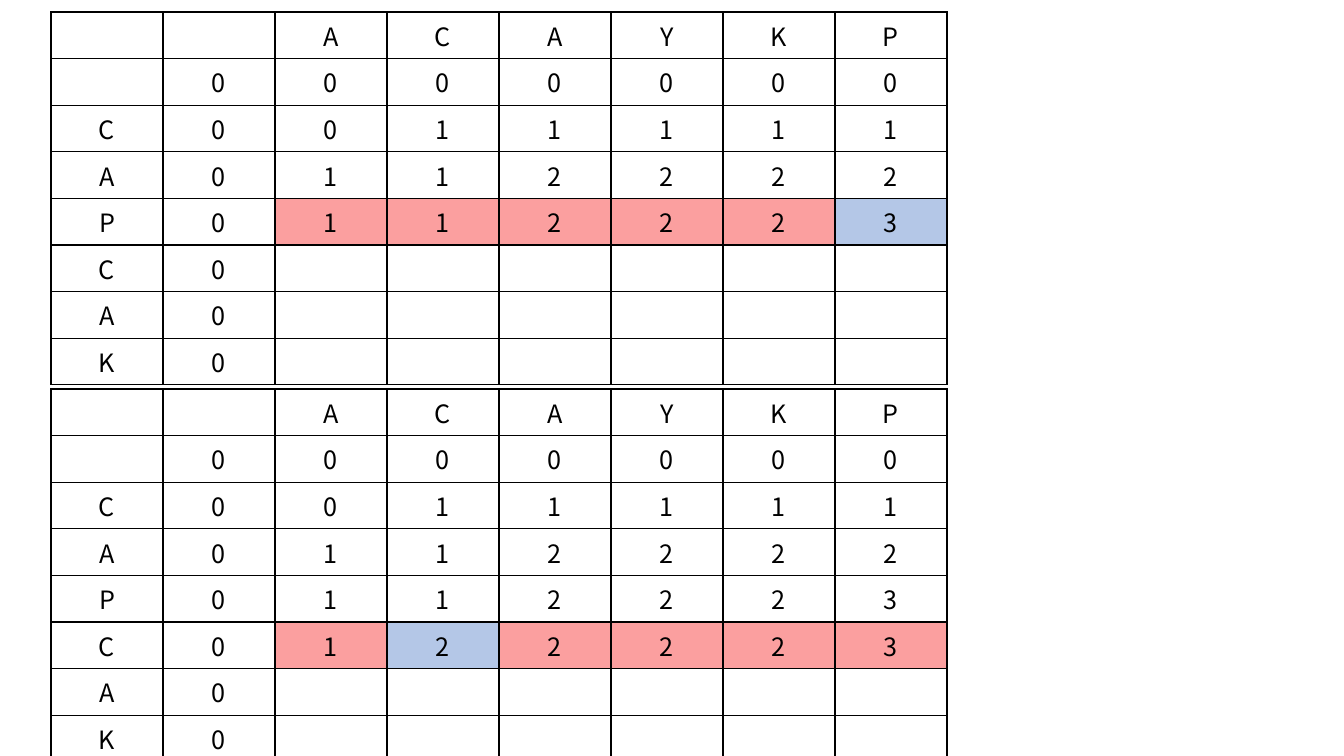
from lxml.etree import SubElement
from pptx import Presentation
from pptx.dml.color import RGBColor
from pptx.enum.text import PP_ALIGN
from pptx.oxml.ns import qn
from pptx.util import Emu, Pt

PIXEL = 9144000 / 1008
THEME = {
    "font": "Noto Sans CJK KR",
    "size": 18,
    "text": "000000",
    "border": "000000",
    "border_width": 1,
    "plain": "FFFFFF",
    "visited": "FB9F9F",
    "match": "B4C7E7",
}
COLUMN_WORD = "ACAYKP"
ROW_WORD = "CAPCAK"
SCORES = ["000000", "011111", "112222", "112223", "122223"]
STEPS = [{"top": 12, "active_row": 4}, {"top": 389, "active_row": 5}]
LEFT, COLUMN_WIDTH, ROW_HEIGHT = 51, 112, 41


def pixels(count):
    return Emu(round(count * PIXEL))


def write_cell(cell, text, *, fill):
    properties = cell._tc.get_or_add_tcPr()
    for side in ("lnL", "lnR", "lnT", "lnB"):
        line = SubElement(properties, qn(f"a:{side}"), w=str(Pt(THEME["border_width"])))
        solid = SubElement(line, qn("a:solidFill"))
        SubElement(solid, qn("a:srgbClr"), val=THEME["border"])
    cell.fill.solid()
    cell.fill.fore_color.rgb = RGBColor.from_string(fill)
    paragraph = cell.text_frame.paragraphs[0]
    paragraph.alignment = PP_ALIGN.CENTER
    if text:
        run = paragraph.add_run()
        run.text = text
        run.font.name = THEME["font"]
        run.font.size = Pt(THEME["size"])
        run.font.color.rgb = RGBColor.from_string(THEME["text"])


presentation = Presentation()
presentation.slide_width = pixels(1344)
presentation.slide_height = pixels(756)
slide = presentation.slides.add_slide(presentation.slide_layouts[6])

row_count = len(ROW_WORD) + 2
column_count = len(COLUMN_WORD) + 2

for step in STEPS:
    active_row = step["active_row"]
    table = slide.shapes.add_table(
        row_count, column_count, pixels(LEFT), pixels(step["top"]),
        pixels(COLUMN_WIDTH * column_count), pixels(ROW_HEIGHT * row_count),
    ).table
    table.first_row = False
    table.horz_banding = False
    for column in table.columns:
        column.width = pixels(COLUMN_WIDTH)
    for row in table.rows:
        row.height = pixels(ROW_HEIGHT)

    lines = [["", "", *COLUMN_WORD]]
    for index, letter in enumerate(" " + ROW_WORD, start=1):
        scores = SCORES[index - 1] if index <= active_row else " " * len(COLUMN_WORD)
        lines.append([letter.strip(), "0", *scores])

    for row_index, line in enumerate(lines):
        for column_index, text in enumerate(line):
            fill = THEME["plain"]
            if row_index == active_row and column_index >= 2:
                matches = line[0] == lines[0][column_index]
                fill = THEME["match"] if matches else THEME["visited"]
            write_cell(table.cell(row_index, column_index), text.strip(), fill=fill)

presentation.save("out.pptx")
